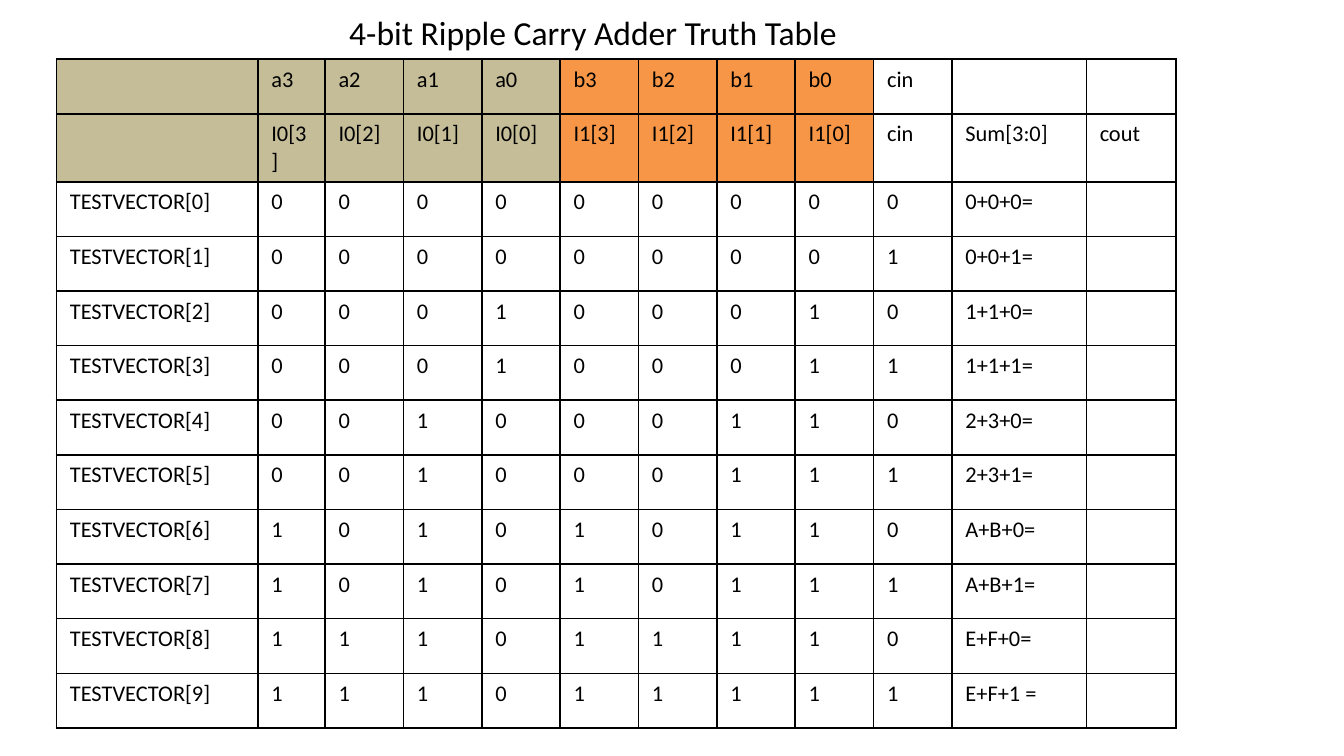
from lxml.etree import SubElement
from pptx import Presentation
from pptx.dml.color import RGBColor
from pptx.enum.text import MSO_AUTO_SIZE
from pptx.oxml.ns import qn
from pptx.util import Inches, Pt

WIDE = 10
HIGH = WIDE * 9 / 16
INK, TAN, ORANGE = "000000", "C4BD97", "F79646"
COLS = [18, 6] + [7] * 8 + [12, 8]  # shares of the table width
PAIRS = ["0+0", "1+1", "2+3", "A+B", "E+F"]  # hex operands


def paint(hue):
    return RGBColor.from_string(hue)


def write(frame, text, size):
    run = frame.paragraphs[0].add_run()
    run.text = text
    run.font.name = "Calibri"
    run.font.size = Pt(size)
    run.font.color.rgb = paint(INK)


def border(cell):
    props = cell._tc.get_or_add_tcPr()
    for side in ("a:lnL", "a:lnR", "a:lnT", "a:lnB"):
        line = SubElement(props, qn(side), w=str(Pt(1)))
        fill = SubElement(line, qn("a:solidFill"))
        SubElement(fill, qn("a:srgbClr"), val=INK)


def title(slide, left, top, width, height):
    box = slide.shapes.add_textbox(*map(Inches, (left, top, width, height)))
    frame = box.text_frame
    frame.word_wrap = False
    frame.auto_size = MSO_AUTO_SIZE.SHAPE_TO_FIT_TEXT
    write(frame, "4-bit Ripple Carry Adder Truth Table", 18)


def vectors():
    """Rows of the truth table, header rows first."""
    bits = range(3, -1, -1)
    rows = [
        ["", *[f"{name}{bit}" for name in "ab" for bit in bits], "cin", "", ""],
        ["", *[f"I{bus}[{bit}]" for bus in (0, 1) for bit in bits],
         "cin", "Sum[3:0]", "cout"],
    ]
    cases = [(pair, cin) for pair in PAIRS for cin in (0, 1)]
    for num, (pair, cin) in enumerate(cases):
        digits = "".join(f"{int(term, 16):04b}" for term in pair.split("+"))
        gap = " " if num == len(cases) - 1 else ""
        rows.append([f"TESTVECTOR[{num}]", *digits, str(cin),
                     f"{pair}+{cin}{gap}=", ""])
    return rows


def shade(row, col):
    if row > 1 or col > 8:
        return None
    return TAN if col < 5 else ORANGE


def truth(slide, left, top, width, height):
    rows = vectors()
    area = map(Inches, (left, top, width, height))
    table = slide.shapes.add_table(len(rows), len(COLS), *area).table
    table.first_row = table.horz_banding = False
    for col, share in zip(table.columns, COLS):
        col.width = Inches(width * share / sum(COLS))
    for r, row in enumerate(rows):
        table.rows[r].height = Inches(height / len(rows))
        for c, text in enumerate(row):
            cell = table.cell(r, c)
            border(cell)
            hue = shade(r, c)
            if hue:
                cell.fill.solid()
                cell.fill.fore_color.rgb = paint(hue)
            else:
                cell.fill.background()
            if text:
                write(cell.text_frame, text, 12)


def main():
    deck = Presentation()
    deck.slide_width, deck.slide_height = Inches(WIDE), Inches(HIGH)
    slide = deck.slides.add_slide(deck.slide_layouts[6])
    truth(slide, 0.42, 0.44, 8.33, 4.88)
    title(slide, 2.5, 0.04, 3.85, 0.4)
    deck.save("out.pptx")


if __name__ == "__main__":
    main()
